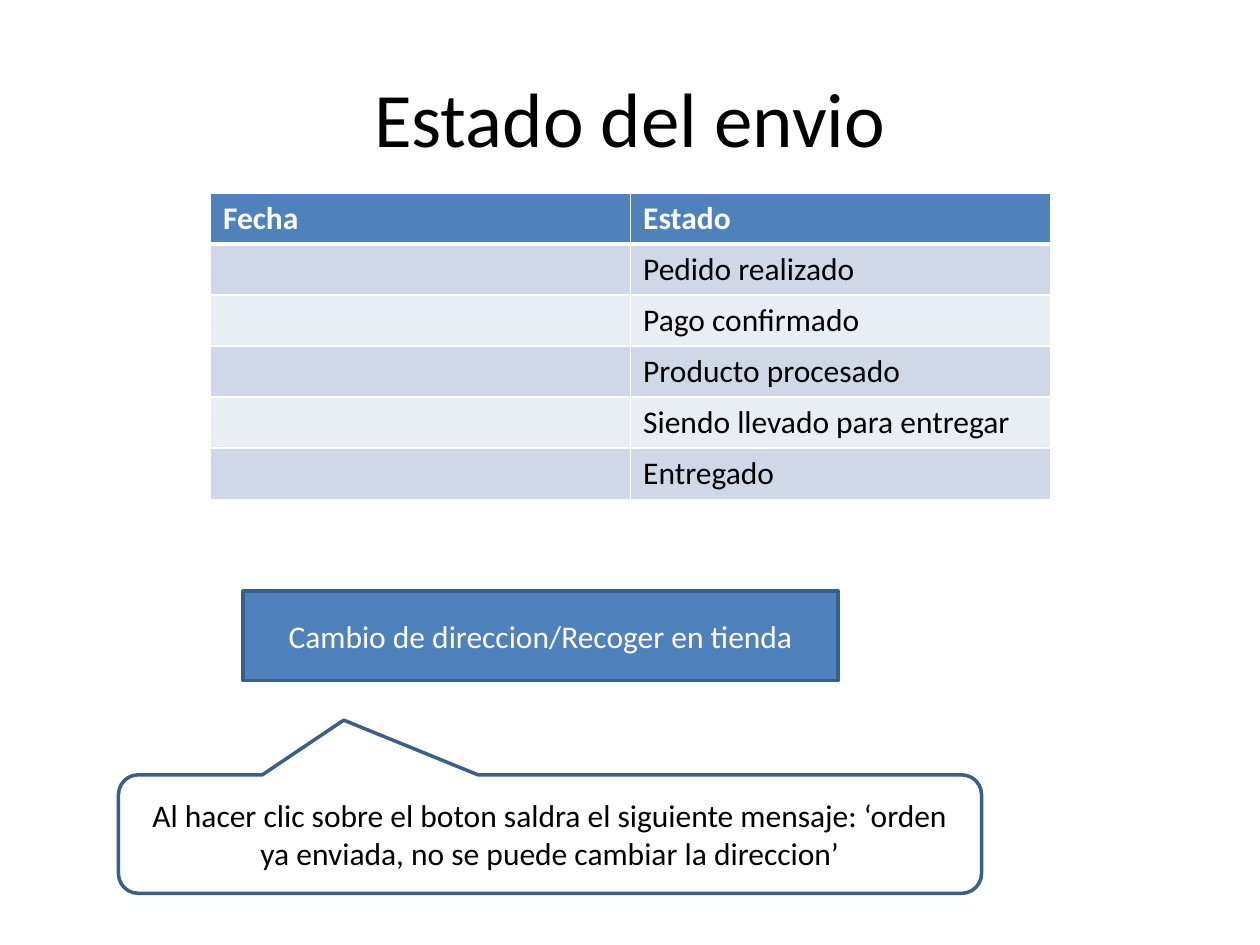
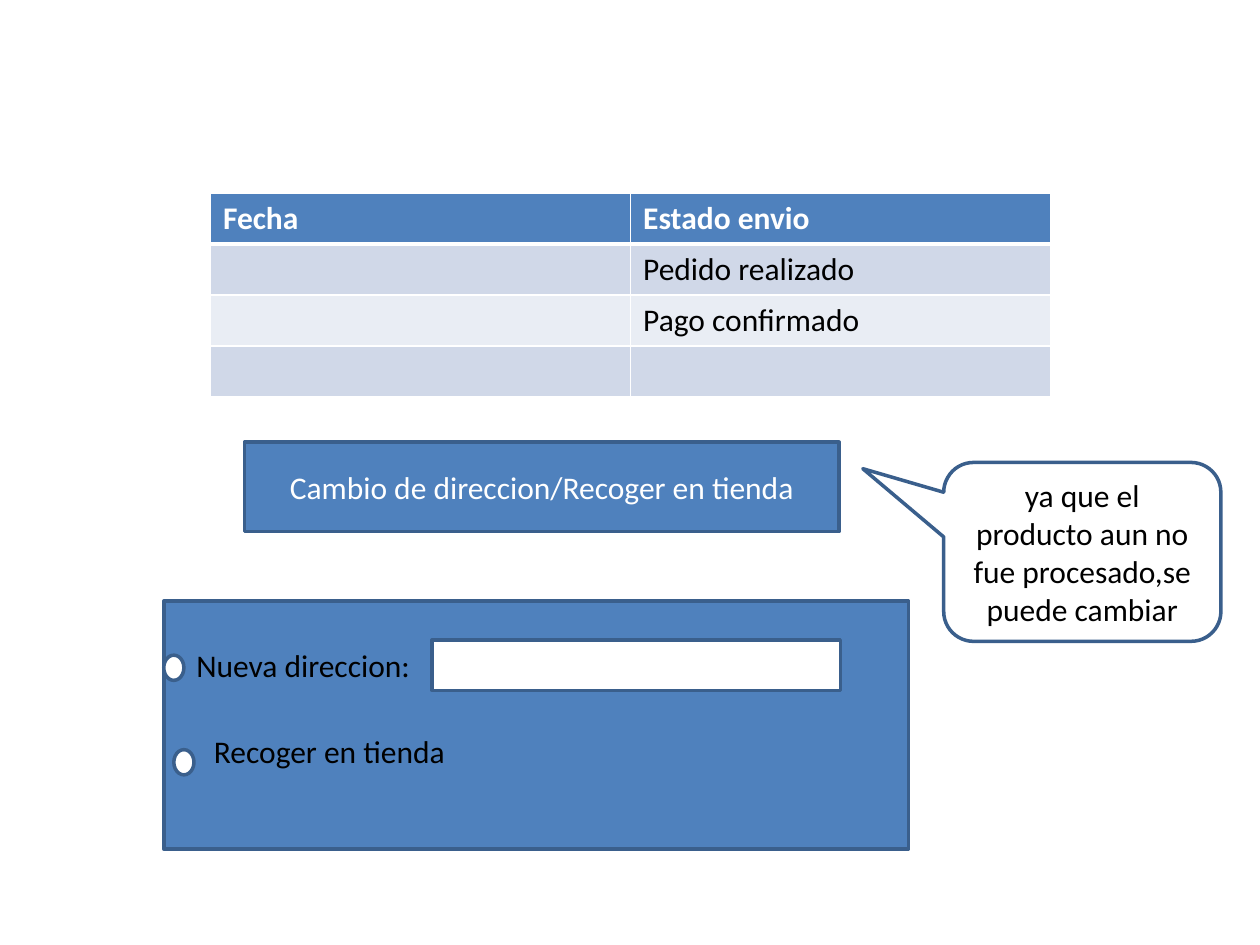
import lxml.etree
import pptx
import pptx.dml.color
import pptx.enum.shapes
import pptx.enum.text
import pptx.oxml.ns
import pptx.util

Inches = pptx.util.Inches
Pt = pptx.util.Pt
RGBColor = pptx.dml.color.RGBColor
Shape = pptx.enum.shapes.MSO_SHAPE
Align = pptx.enum.text.PP_ALIGN
Anchor = pptx.enum.text.MSO_ANCHOR

BLUE = RGBColor(0x4F, 0x81, 0xBD)
OUTLINE = RGBColor(0x3A, 0x5F, 0x8C)
BAND_DARK = RGBColor(0xD0, 0xD8, 0xE8)
BAND_LIGHT = RGBColor(0xE9, 0xED, 0xF4)
WHITE = RGBColor(0xFF, 0xFF, 0xFF)
BLACK = RGBColor(0x00, 0x00, 0x00)
FONT = "Calibri"
TITLE_ONLY, BLANK = 5, 6
CHANGE_LABEL = "Cambio de direccion/Recoger en tienda"


class OrderDeck:
    """Builds the order status slides in one shared style."""

    def __init__(self):
        self.presentation = pptx.Presentation()
        self.presentation.slide_width = Inches(10)
        self.presentation.slide_height = Inches(7.5)
        self.slide = None

    def add_slide(self, title=None):
        layout = self.presentation.slide_layouts[BLANK if title is None else TITLE_ONLY]
        self.slide = self.presentation.slides.add_slide(layout)
        if title is not None:
            heading = self.slide.shapes.title
            heading.left, heading.top = Inches(0.5), Inches(0.3)
            heading.width, heading.height = Inches(9), Inches(1.25)
            heading.text_frame.vertical_anchor = Anchor.MIDDLE
            self.set_text(heading.text_frame, title, BLACK, 44, Align.CENTER)

    def set_text(self, frame, text, color, size=18, align=Align.LEFT, bold=False):
        frame.text = text
        paragraph = frame.paragraphs[0]
        paragraph.alignment = align
        font = paragraph.font
        font.name, font.size, font.bold = FONT, Pt(size), bold
        font.color.rgb = color

    def shape(self, kind, left, top, width, height, fill=BLUE, text=None, color=WHITE):
        shape = self.slide.shapes.add_shape(
            kind, Inches(left), Inches(top), Inches(width), Inches(height))
        shape.shadow.inherit = False
        shape.fill.solid()
        shape.fill.fore_color.rgb = fill
        shape.line.color.rgb = OUTLINE
        shape.line.width = Pt(2)
        if text:
            shape.text_frame.vertical_anchor = Anchor.MIDDLE
            self.set_text(shape.text_frame, text, color, align=Align.CENTER)
        return shape

    def change_button(self, left, top):
        self.shape(Shape.RECTANGLE, left, top, 4.72, 0.71, text=CHANGE_LABEL)

    def callout(self, left, top, width, height, tip, text):
        bubble = self.shape(Shape.ROUNDED_RECTANGULAR_CALLOUT,
                            left, top, width, height, WHITE, text, BLACK)
        for index, value in enumerate((*tip, 0.167)):
            bubble.adjustments[index] = value

    def option(self, left, top):
        self.shape(Shape.FLOWCHART_CONNECTOR, left, top, 0.16, 0.2, WHITE)

    def label(self, left, top, width, text):
        box = self.slide.shapes.add_textbox(
            Inches(left), Inches(top), Inches(width), Inches(0.4))
        box.text_frame.word_wrap = True
        self.set_text(box.text_frame, text, BLACK)

    def border(self, cell, side, points):
        line = lxml.etree.SubElement(
            cell._tc.get_or_add_tcPr(), pptx.oxml.ns.qn(f"a:ln{side}"), w=str(Pt(points)))
        fill = lxml.etree.SubElement(line, pptx.oxml.ns.qn("a:solidFill"))
        lxml.etree.SubElement(fill, pptx.oxml.ns.qn("a:srgbClr"), val=str(WHITE))

    def status_table(self, heading, statuses):
        rows = [("Fecha", heading)] + [("", status) for status in statuses]
        row_height = Inches(0.405)
        table = self.slide.shapes.add_table(
            len(rows), 2, Inches(1.67), Inches(1.53),
            Inches(6.67), row_height * len(rows)).table
        for row_index, texts in enumerate(rows):
            table.rows[row_index].height = row_height
            header = row_index == 0
            band = BLUE if header else BAND_DARK if row_index % 2 else BAND_LIGHT
            for column_index, text in enumerate(texts):
                cell = table.cell(row_index, column_index)
                self.border(cell, "L", 1)
                self.border(cell, "R", 1)
                self.border(cell, "T", 3 if row_index == 1 else 1)
                self.border(cell, "B", 3 if header else 1)
                cell.fill.solid()
                cell.fill.fore_color.rgb = band
                self.set_text(cell.text_frame, text, WHITE if header else BLACK, bold=header)


def main():
    deck = OrderDeck()

    deck.add_slide("Estado del envio")
    deck.status_table("Estado", ["Pedido realizado", "Pago confirmado", "Producto procesado",
                                 "Siendo llevado para entregar", "Entregado"])
    deck.change_button(1.93, 4.69)
    deck.callout(0.94, 6.15, 6.85, 0.94, (-0.239, -0.962),
                 "Al hacer clic sobre el boton saldra el siguiente mensaje: "
                 "‘orden ya enviada, no se puede cambiar la direccion’")

    deck.add_slide()
    deck.status_table("Estado envio", ["Pedido realizado", "Pago confirmado", ""])
    deck.change_button(1.94, 3.51)
    deck.callout(7.49, 3.67, 2.2, 1.42, (-0.792, -0.465),
                 "ya que el producto aun no fue procesado,se puede cambiar")
    deck.shape(Shape.RECTANGLE, 1.3, 4.77, 5.91, 1.97)
    deck.label(1.46, 5.08, 4.96, "Nueva direccion:")
    deck.shape(Shape.RECTANGLE, 3.43, 5.08, 3.24, 0.4, WHITE)
    deck.option(1.3, 5.2)
    deck.option(1.38, 5.95)
    deck.label(1.6, 5.76, 5.07, "Recoger en tienda")

    deck.presentation.save("out.pptx")


if __name__ == "__main__":
    main()
